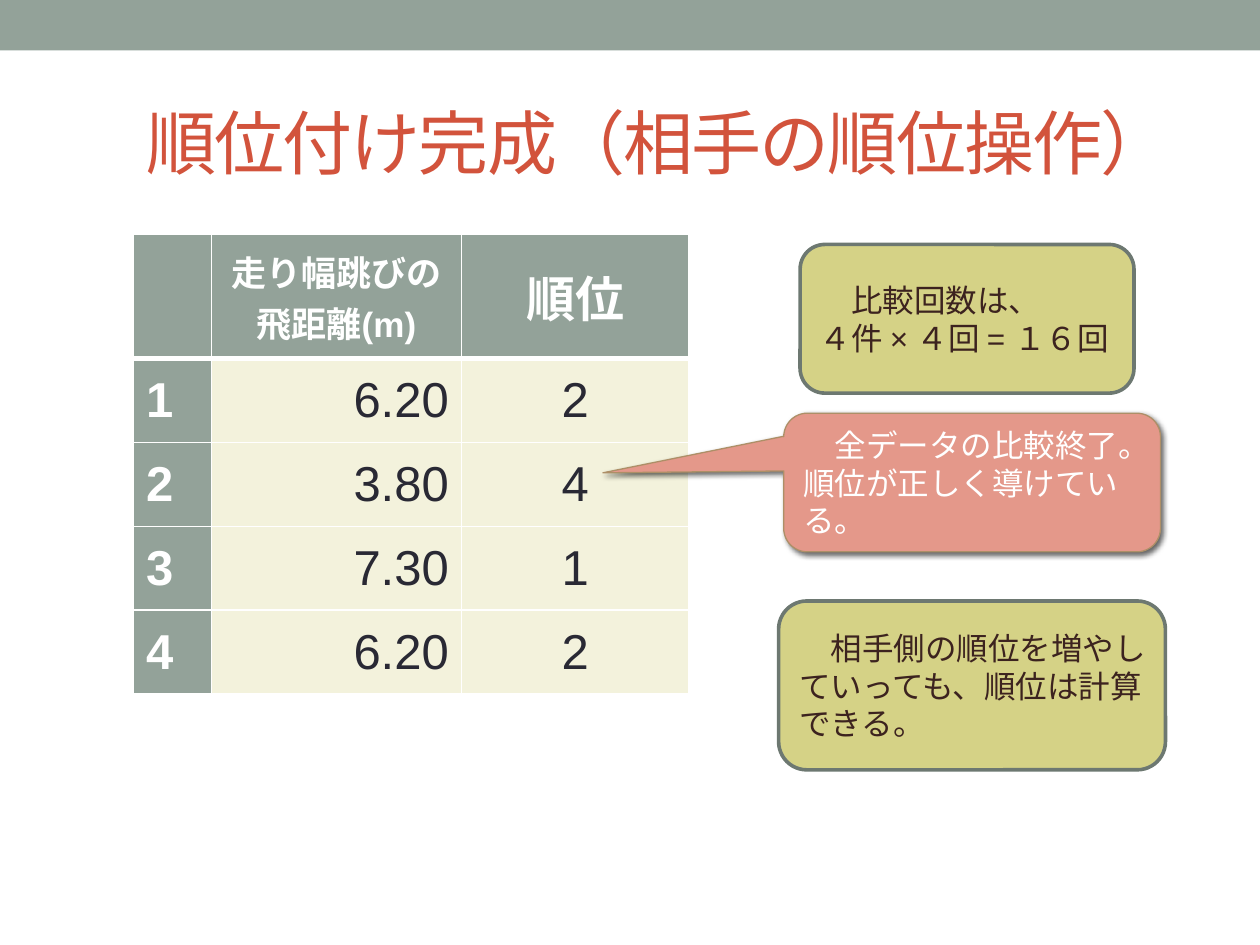
"""Build the slide that shows the finished ranking table."""
import dataclasses

import lxml.etree
import pptx
import pptx.dml.color
import pptx.enum.lang
import pptx.enum.shapes
import pptx.enum.text
import pptx.oxml.ns
import pptx.util

ALIGN = pptx.enum.text.PP_ALIGN
MIDDLE = pptx.enum.text.MSO_ANCHOR.MIDDLE
SHAPE = pptx.enum.shapes.MSO_SHAPE
GRID_COLUMNS = 100


@dataclasses.dataclass(frozen=True)
class Theme:
    """Colours, font and type sizes of the slide."""
    font: str = "Arial"
    sage: str = "93A299"
    sage_dark: str = "6D7871"
    cream: str = "F3F2DC"
    olive: str = "D5D286"
    salmon: str = "E4988A"
    tan: str = "AD8F67"
    brick: str = "D2533C"
    ink: str = "292934"
    brown: str = "3C231F"
    white: str = "FFFFFF"
    title_size: int = 40
    table_size: int = 28
    heading_size: int = 20
    note_size: int = 18


@dataclasses.dataclass(frozen=True)
class Box:
    """Left, top, width and height in grid units."""
    left: float
    top: float
    width: float
    height: float

    def scaled(self, unit):
        """Return the four lengths for a grid unit."""
        return [round(value * unit) for value in dataclasses.astuple(self)]


THEME = Theme()


def rgb(colour):
    """Return a colour object for a hexadecimal colour."""
    return pptx.dml.color.RGBColor.from_string(colour)


def write_text(text_frame, text, size, colour, align=ALIGN.LEFT, bold=False):
    """Set the text of a frame and format all its runs."""
    text_frame.text = text
    text_frame.word_wrap = True
    for paragraph in text_frame.paragraphs:
        paragraph.alignment = align
        for run in paragraph.runs:
            run.font.name = THEME.font
            run.font.size = pptx.util.Pt(size)
            run.font.bold = bold
            run.font.color.rgb = rgb(colour)
            run.font.language_id = pptx.enum.lang.MSO_LANGUAGE_ID.JAPANESE


def add_panel(slide, kind, position, fill, line, line_width):
    """Add a filled and outlined shape without a shadow."""
    shape = slide.shapes.add_shape(kind, *position)
    shape.shadow.inherit = False
    shape.fill.solid()
    shape.fill.fore_color.rgb = rgb(fill)
    if line:
        shape.line.color.rgb = rgb(line)
        shape.line.width = pptx.util.Pt(line_width)
    else:
        shape.line.fill.background()
    return shape


def add_banner(slide, box, unit):
    """Add the band along the top of the slide."""
    add_panel(slide, SHAPE.RECTANGLE, box.scaled(unit), THEME.sage, None, 0)


def place_title(slide, box, unit, text):
    """Move, fill and format the title placeholder."""
    title = slide.shapes.title
    title.left, title.top, title.width, title.height = box.scaled(unit)
    write_text(title.text_frame, text, THEME.title_size, THEME.brick)
    title.text_frame.auto_size = pptx.enum.text.MSO_AUTO_SIZE.NONE
    title.text_frame.vertical_anchor = MIDDLE
    for run in title.text_frame.paragraphs[0].runs:
        run.font._element.set("spc", "-100")


def set_borders(cell, widths):
    """Draw white borders, given as widths for left, right, top and bottom."""
    properties = cell._tc.get_or_add_tcPr()
    for index, (side, width) in enumerate(zip("LRTB", widths)):
        line = lxml.etree.Element(pptx.oxml.ns.qn(f"a:ln{side}"), w=str(pptx.util.Pt(width)))
        fill = lxml.etree.SubElement(line, pptx.oxml.ns.qn("a:solidFill"))
        lxml.etree.SubElement(fill, pptx.oxml.ns.qn("a:srgbClr"), val=THEME.white)
        properties.insert(index, line)


def add_ranking(slide, box, unit, rows, column_shares, header_share):
    """Add the ranking table with a header row and a header column."""
    position = box.scaled(unit)
    table = slide.shapes.add_table(len(rows), len(rows[0]), *position).table
    for column, share in zip(table.columns, column_shares):
        column.width = round(position[2] * share)
    body_share = (1 - header_share) / (len(rows) - 1)
    body_aligns = (ALIGN.LEFT, ALIGN.RIGHT, ALIGN.CENTER)
    for row_index, values in enumerate(rows):
        is_top = row_index == 0
        table.rows[row_index].height = round(position[3] * (header_share if is_top else body_share))
        for column_index, value in enumerate(values):
            cell = table.cell(row_index, column_index)
            is_header = is_top or column_index == 0
            cell.fill.solid()
            cell.fill.fore_color.rgb = rgb(THEME.sage if is_header else THEME.cream)
            cell.vertical_anchor = MIDDLE
            set_borders(cell, (1, 1, 3 if row_index == 1 else 1, 3 if is_top else 1))
            write_text(
                cell.text_frame,
                value,
                THEME.heading_size if "\n" in value else THEME.table_size,
                THEME.white if is_header else THEME.ink,
                ALIGN.CENTER if is_top else body_aligns[column_index],
                is_header,
            )


def add_note(slide, box, unit, text):
    """Add a rounded note with a dark outline."""
    note = add_panel(
        slide, SHAPE.ROUNDED_RECTANGLE, box.scaled(unit), THEME.olive, THEME.sage_dark, 2.08
    )
    write_text(note.text_frame, text, THEME.note_size, THEME.brown)
    note.text_frame.vertical_anchor = MIDDLE


def add_callout(slide, box, unit, text):
    """Add the shadowed callout that points into the table."""
    callout = add_panel(
        slide, SHAPE.ROUNDED_RECTANGULAR_CALLOUT, box.scaled(unit), THEME.salmon, THEME.tan, 0.75
    )
    for index, value in enumerate((-0.98, -0.07, 0.17)):
        callout.adjustments[index] = value
    write_text(callout.text_frame, text, THEME.note_size, THEME.white)
    callout.text_frame.vertical_anchor = MIDDLE
    effects = callout._element.spPr.find(pptx.oxml.ns.qn("a:effectLst"))
    shadow = lxml.etree.SubElement(
        effects,
        pptx.oxml.ns.qn("a:outerShdw"),
        blurRad=str(pptx.util.Pt(3)),
        dist=str(pptx.util.Pt(2)),
        dir=str(45 * 60000),
        rotWithShape="0",
    )
    colour = lxml.etree.SubElement(shadow, pptx.oxml.ns.qn("a:srgbClr"), val="000000")
    lxml.etree.SubElement(colour, pptx.oxml.ns.qn("a:alpha"), val="60000")


def main():
    """Build and save the presentation."""
    presentation = pptx.Presentation()
    presentation.slide_width = pptx.util.Inches(10)
    presentation.slide_height = pptx.util.Inches(7.5)
    unit = presentation.slide_width / GRID_COLUMNS
    slide = presentation.slides.add_slide(presentation.slide_layouts[5])
    rows = [
        ("", "走り幅跳びの\n飛距離(m)", "順位"),
        ("1", "6.20", "2"),
        ("2", "3.80", "4"),
        ("3", "7.30", "1"),
        ("4", "6.20", "2"),
    ]
    add_banner(slide, Box(0, 0, GRID_COLUMNS, 4), unit)
    add_ranking(slide, Box(10.6, 18.6, 44.1, 36.5), unit, rows, (0.14, 0.45, 0.41), 0.27)
    place_title(slide, Box(10.6, 5.8, 84.4, 10.8), unit, "順位付け完成（相手の順位操作）")
    add_callout(
        slide, Box(62.2, 32.8, 29.9, 11), unit, "　全データの比較終了。順位が正しく導けている。"
    )
    add_note(
        slide, Box(61.8, 47.7, 30.7, 13.4), unit, "　相手側の順位を増やしていっても、順位は計算できる。"
    )
    add_note(slide, Box(63.5, 19.4, 26.5, 11.8), unit, "　比較回数は、\n４件 × ４回 = １６回")
    presentation.save("out.pptx")


if __name__ == "__main__":
    main()
